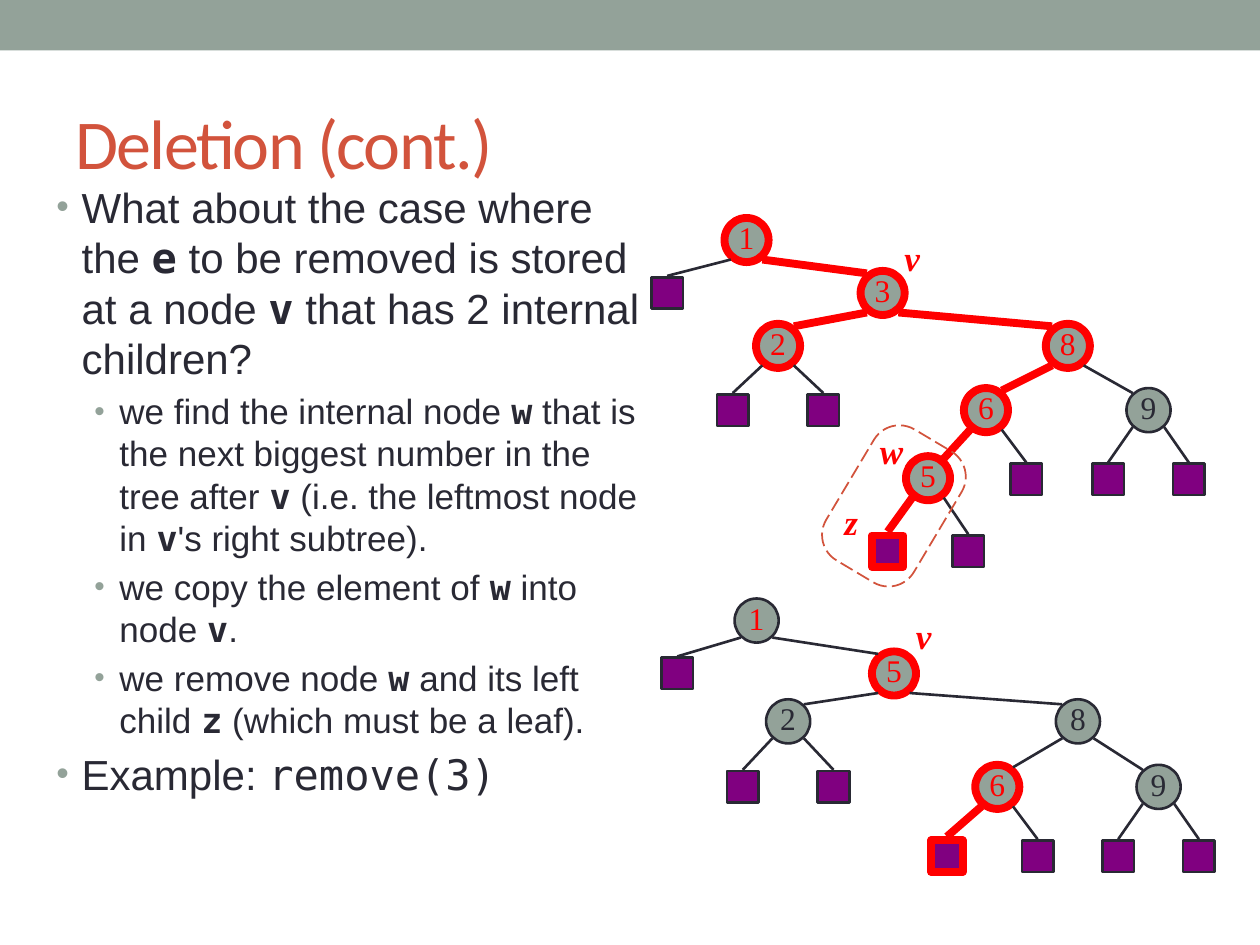
from pptx import Presentation
from pptx.dml.color import RGBColor
from pptx.enum.dml import MSO_LINE
from pptx.enum.shapes import MSO_CONNECTOR, MSO_SHAPE
from pptx.enum.text import MSO_ANCHOR, MSO_AUTO_SIZE, PP_ALIGN
from pptx.oxml.ns import qn
from pptx.util import Inches, Pt
from lxml import etree

OVAL, RECT, ROUND = MSO_SHAPE.OVAL, MSO_SHAPE.RECTANGLE, MSO_SHAPE.ROUNDED_RECTANGLE
STRAIGHT, LONG_DASH = MSO_CONNECTOR.STRAIGHT, MSO_LINE.LONG_DASH
MIDDLE, LEFT, CENTER = MSO_ANCHOR.MIDDLE, PP_ALIGN.LEFT, PP_ALIGN.CENTER
NO_FIT, GROW = MSO_AUTO_SIZE.NONE, MSO_AUTO_SIZE.SHAPE_TO_FIT_TEXT

COLORS = {"sage": "93A299", "rust": "D2533C", "ink": "292934",
          "hot": "FF0000", "leaf": "800080"}
SANS, MONO, SERIF, HEAD = "Arial", "DejaVu Sans Mono", "Times New Roman", "Calibri"
NODE, LEAF = 0.35, 0.25

# Internal nodes: key -> left, top, parent, highlighted, text colour
# Leaves: left, top, parent, highlighted
BEFORE = {
    "nodes": {
        "1": (5.75, 1.73, None, True, "hot"),
        "3": (6.83, 2.15, "1", True, "hot"),
        "2": (6.0, 2.57, "3", True, "hot"),
        "8": (8.3, 2.57, "3", True, "hot"),
        "6": (7.65, 3.08, "8", True, "hot"),
        "9": (8.94, 3.08, "8", False, "ink"),
        "5": (7.19, 3.62, "6", True, "hot"),
    },
    "leaves": [
        (5.17, 2.2, "1", False), (5.69, 3.13, "2", False), (6.41, 3.13, "2", False),
        (8.02, 3.68, "6", False), (8.67, 3.68, "9", False), (9.31, 3.68, "9", False),
        (6.92, 4.25, "5", True), (7.56, 4.25, "5", False),
    ],
    "labels": [("v", 7.08, 1.83, 0.32), ("w", 6.88, 3.36, 0.39), ("z", 6.6, 3.92, 0.31)],
}
AFTER = {
    "nodes": {
        "1": (5.83, 4.75, None, False, "hot"),
        "5": (6.92, 5.17, "1", True, "hot"),
        "2": (6.08, 5.55, "5", False, "ink"),
        "8": (8.38, 5.55, "5", False, "ink"),
        "6": (7.74, 6.07, "8", True, "hot"),
        "9": (9.02, 6.07, "8", False, "ink"),
    },
    "leaves": [
        (5.25, 5.22, "1", False), (5.77, 6.12, "2", False), (6.49, 6.12, "2", False),
        (7.39, 6.67, "6", True), (8.11, 6.67, "6", False),
        (8.75, 6.67, "9", False), (9.39, 6.67, "9", False),
    ],
    "labels": [("v", 7.17, 4.83, 0.32)],
}

# Level, text with code between backticks, code is bold
BULLETS = [
    (0, "What about the case where the `e` to be removed is stored at a node `v` "
        "that has 2 internal children?", True),
    (1, "we find the internal node `w` that is the next biggest number in the tree "
        "after `v` (i.e. the leftmost node in `v`'s right subtree).", True),
    (1, "we copy the element of `w` into node `v`.", True),
    (1, "we remove node `w` and its left child `z` (which must be a leaf).", True),
    (0, "Example: `remove(3)`", False),
]


def rgb(name):
    return RGBColor.from_string(COLORS[name])


def apply(target, values):
    for attribute, value in values.items():
        setattr(target, attribute, value)


def add_run(paragraph, text, color, **font):
    run = paragraph.add_run()
    run.text = text
    run.font.color.rgb = rgb(color)
    apply(run.font, font)
    return run


def style_line(line, color, width):
    line.color.rgb = rgb(color)
    line.width = Pt(width)


def highlight_line(line, hot):
    style_line(line, "hot" if hot else "ink", 4.5 if hot else 1.5)


def add_shape(slide, preset, box, fill=None):
    shape = slide.shapes.add_shape(preset, *map(Inches, box))
    shape.shadow.inherit = False
    if fill:
        shape.fill.solid()
        shape.fill.fore_color.rgb = rgb(fill)
    else:
        shape.fill.background()
    return shape


def add_node(slide, key, left, top, hot, color):
    node = add_shape(slide, OVAL, (left, top, NODE, NODE), "sage")
    highlight_line(node.line, hot)
    frame = node.text_frame
    apply(frame, {"margin_left": 0, "margin_right": 0, "margin_top": 0,
                  "margin_bottom": Inches(0.05), "word_wrap": False,
                  "vertical_anchor": MIDDLE})
    frame.paragraphs[0].alignment = CENTER
    add_run(frame.paragraphs[0], key, color, size=Pt(18), name=SERIF)


def add_edge(slide, start, end, hot):
    edge = slide.shapes.add_connector(STRAIGHT, *map(Inches, start + end))
    highlight_line(edge.line, hot)
    etree.SubElement(edge._element.spPr, qn("a:effectLst"))


def corner(node, right, bottom):
    """Point where an edge meets the rim of an internal node."""
    left, top, hot = node[0], node[1], node[3]
    inset = 0.02 if hot else 0.04
    return (left + (NODE - 0.05 if right else 0.05),
            top + (NODE - inset if bottom else inset))


def add_label(slide, text, left, top, width):
    label = slide.shapes.add_textbox(*map(Inches, (left, top, width, 0.43)))
    apply(label.text_frame, {"word_wrap": False, "auto_size": GROW})
    paragraph = label.text_frame.paragraphs[0]
    paragraph.alignment = CENTER
    add_run(paragraph, text, "hot", size=Pt(20), name=SERIF, bold=True, italic=True)


def add_tree(slide, tree):
    nodes = tree["nodes"]
    for key, (left, top, _, hot, color) in nodes.items():
        add_node(slide, key, left, top, hot, color)
    for left, top, _, hot in tree["leaves"]:
        leaf = add_shape(slide, RECT, (left, top, LEAF, LEAF), "leaf")
        highlight_line(leaf.line, hot)

    # An edge is highlighted when both of its ends are
    for child in nodes.values():
        if child[2]:
            parent = nodes[child[2]]
            right = child[0] > parent[0]
            add_edge(slide, corner(parent, right, True),
                     corner(child, not right, False), parent[3] and child[3])
    for left, top, key, hot in tree["leaves"]:
        parent = nodes[key]
        end = (left + LEAF / 2, top - (0.03 if hot else 0.01))
        add_edge(slide, corner(parent, left > parent[0], True), end, parent[3] and hot)
    for label in tree["labels"]:
        add_label(slide, *label)


def add_bullet(paragraph, level):
    props = paragraph._p.get_or_add_pPr()
    props.set("marL", str(Inches(0.5 if level else 0.2)))
    props.set("indent", str(Inches(-0.2)))
    color = etree.SubElement(props, qn("a:buClr"))
    etree.SubElement(color, qn("a:srgbClr"), val=COLORS["sage"])
    etree.SubElement(props, qn("a:buSzPct"), val="85000")
    etree.SubElement(props, qn("a:buFont"), typeface=SANS)
    etree.SubElement(props, qn("a:buChar"), char="•")


def add_body(slide):
    body = slide.shapes.add_textbox(*map(Inches, (0.35, 1.39, 4.9, 5.75)))
    frame = body.text_frame
    frame.word_wrap = True
    for index, (level, text, bold_code) in enumerate(BULLETS):
        paragraph = frame.add_paragraph() if index else frame.paragraphs[0]
        size = 20 if level else 24
        apply(paragraph, {"level": level, "space_before": Pt(size * 0.2)})
        add_bullet(paragraph, level)
        for part, piece in enumerate(text.split("`")):
            code = part % 2 == 1
            if piece:
                add_run(paragraph, piece, "ink", size=Pt(size),
                        name=MONO if code else SANS, bold=code and bold_code)


def set_title(slide, text):
    title = slide.shapes.title
    apply(title, {"left": Inches(0.5), "top": Inches(0.58),
                  "width": Inches(9), "height": Inches(1.08)})
    apply(title.text_frame, {"vertical_anchor": MIDDLE, "word_wrap": True,
                             "auto_size": NO_FIT})
    paragraph = title.text_frame.paragraphs[0]
    paragraph.alignment = LEFT
    run = add_run(paragraph, text, "rust", size=Pt(40), name=HEAD)
    run._r.get_or_add_rPr().set("spc", "-100")


def main():
    deck = Presentation()
    deck.slide_width, deck.slide_height = Inches(10), Inches(7.5)
    slide = deck.slides.add_slide(deck.slide_layouts[5])

    # Top band and text
    band = add_shape(slide, RECT, (0, 0, 10, 0.4), "sage")
    band.line.fill.background()
    set_title(slide, "Deletion (cont.)")
    add_body(slide)

    # Trees before and after the removal
    for tree in (BEFORE, AFTER):
        add_tree(slide, tree)

    # Dashed outline around w and z
    removed = add_shape(slide, ROUND, (6.49, 3.61, 1.21, 0.81))
    removed.adjustments[0] = 0.29
    removed.rotation = 300.8
    style_line(removed.line, "rust", 1)
    removed.line.dash_style = LONG_DASH

    deck.save("out.pptx")


main()
